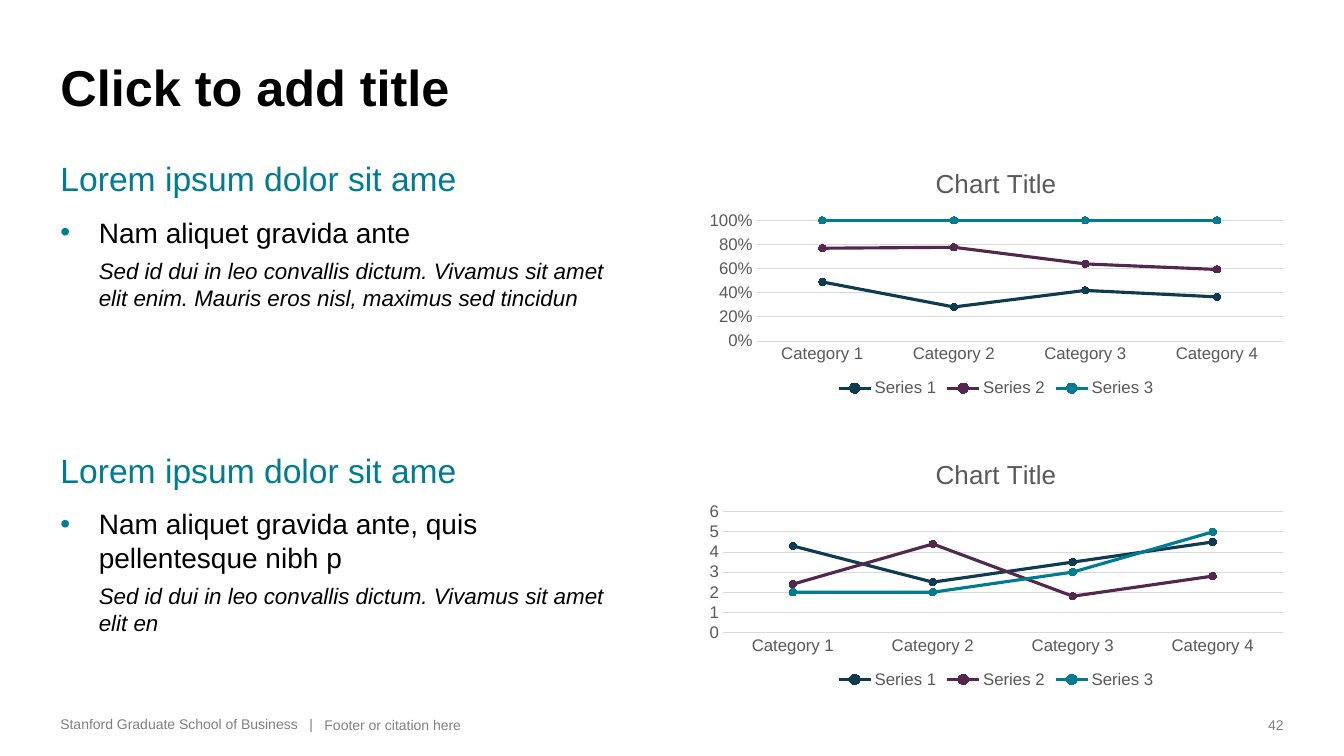
"""Build a slide with two lists, each beside a line chart."""
from lxml.etree import SubElement
from pptx import Presentation
from pptx.chart.data import CategoryChartData
from pptx.dml.color import RGBColor
from pptx.enum.chart import XL_CHART_TYPE as ChartType, XL_LEGEND_POSITION as LegendPosition
from pptx.enum.chart import XL_MARKER_STYLE as Marker, XL_TICK_MARK as Tick
from pptx.enum.text import MSO_ANCHOR as Anchor, MSO_AUTO_SIZE as AutoSize, PP_ALIGN as Align
from pptx.oxml.ns import qn
from pptx.util import Pt

PX = 9144
COLORS = {"teal": "007C92", "navy": "0E3B50", "plum": "53284F", "black": "000000",
          "label": "595959", "footer": "808080", "grid": "D9D9D9"}
RGB = {name: RGBColor.from_string(value) for name, value in COLORS.items()}


def style(font, size, color, bold=False, italic=False):
    font.name, font.size = "Arial", Pt(size)
    font.bold, font.italic = bold, italic
    font.color.rgb = RGB[color]


def write(para, text, size=10, color="footer", bold=False, italic=False,
          before=0, align=Align.LEFT, level=0, indent=0, hanging=0, bullet=None):
    props = para._p.get_or_add_pPr()
    props.set("marL", str(indent * PX))
    props.set("indent", str(-hanging * PX))
    if bullet:
        tint = SubElement(props, qn("a:buClr"))
        SubElement(tint, qn("a:srgbClr"), val=COLORS["teal"])
        SubElement(props, qn("a:buFont"), typeface="Arial")
        SubElement(props, qn("a:buChar"), char=bullet)
    else:
        SubElement(props, qn("a:buNone"))
    para.level, para.alignment, para.space_before = level, align, Pt(before)
    span = para.add_run()
    span.text = text
    style(span.font, size, color, bold, italic)


deck = Presentation()
deck.slide_width, deck.slide_height = 1333 * PX, 750 * PX
page = deck.slides.add_slide(deck.slide_layouts[3])
title, *bodies = page.placeholders

title.left, title.top, title.width, title.height = 50 * PX, 50 * PX, 1233 * PX, 71 * PX
title.text_frame.auto_size = AutoSize.NONE
write(title.text_frame.paragraphs[0], "Click to add title", size=36, color="black", bold=True)

categories = [f"Category {number}" for number in range(1, 5)]
sections = [
    (152, "Nam aliquet gravida ante",
     "Sed id dui in leo convallis dictum. Vivamus sit amet elit enim. "
     "Mauris eros nisl, maximus sed tincidun",
     150, ChartType.LINE_MARKERS_STACKED_100, "0%",
     [(49, 28, 42, 37), (28, 49, 22, 23), (23, 22, 36, 41)]),
    (441, "Nam aliquet gravida ante, quis pellentesque nibh p",
     "Sed id dui in leo convallis dictum. Vivamus sit amet elit en",
     439, ChartType.LINE_MARKERS, "General",
     [(4.3, 2.5, 3.5, 4.5), (2.4, 4.4, 1.8, 2.8), (2, 2, 3, 5)]),
]

for body, section in zip(bodies, sections):
    body_top, point, detail, chart_top, chart_type, number_format, rows = section

    body.left, body.top, body.width, body.height = 50 * PX, body_top * PX, 592 * PX, 246 * PX
    frame = body.text_frame
    frame.auto_size = AutoSize.NONE
    write(frame.paragraphs[0], "Lorem ipsum dolor sit ame", size=24, color="teal")
    write(frame.add_paragraph(), point, size=20, color="black", before=12,
          level=1, indent=38, hanging=38, bullet="•")
    write(frame.add_paragraph(), detail, size=16, color="black", italic=True, before=6,
          level=2, indent=38)

    data = CategoryChartData()
    data.categories = categories
    for number, values in enumerate(rows, 1):
        data.add_series(f"Series {number}", values)
    chart = page.shapes.add_chart(chart_type, 692 * PX, chart_top * PX,
                                  592 * PX, 248 * PX, data).chart
    style(chart.font, 10, "black")

    chart.has_title = True
    write(chart.chart_title.text_frame.paragraphs[0], "Chart Title", size=18.6,
          color="label", align=Align.CENTER)
    chart.has_legend = True
    chart.legend.position = LegendPosition.BOTTOM
    chart.legend.include_in_layout = False
    style(chart.legend.font, 12, "label")

    for axis in (chart.category_axis, chart.value_axis):
        axis.major_tick_mark = axis.minor_tick_mark = Tick.NONE
        style(axis.tick_labels.font, 12, "label")
    chart.value_axis.tick_labels.number_format = number_format
    chart.value_axis.tick_labels.number_format_is_linked = False
    chart.value_axis.format.line.fill.background()
    chart.value_axis.has_major_gridlines = True
    for line in (chart.category_axis.format.line, chart.value_axis.major_gridlines.format.line):
        line.color.rgb, line.width = RGB["grid"], Pt(0.75)

    chart.plots[0].vary_by_categories = False
    for series, color in zip(chart.plots[0].series, ("navy", "plum", "teal")):
        series.smooth = False
        series.format.line.color.rgb, series.format.line.width = RGB[color], Pt(2.25)
        series.marker.style, series.marker.size = Marker.CIRCLE, 5
        series.marker.format.fill.solid()
        series.marker.format.fill.fore_color.rgb = RGB[color]
        series.marker.format.line.color.rgb = RGB[color]

footers = [
    (50, 262, 28, "Stanford Graduate School of Business", Align.LEFT),
    (297, 30, 28, "|", Align.LEFT),
    (312, 917, 29, "Footer or citation here", Align.LEFT),
    (1244, 39, 29, "42", Align.RIGHT),
]
for left, width, height, text, align in footers:
    box = page.shapes.add_textbox(left * PX, 703 * PX, width * PX, height * PX)
    box.text_frame.word_wrap = True
    box.text_frame.vertical_anchor = Anchor.BOTTOM
    write(box.text_frame.paragraphs[0], text, align=align)

deck.save("out.pptx")
